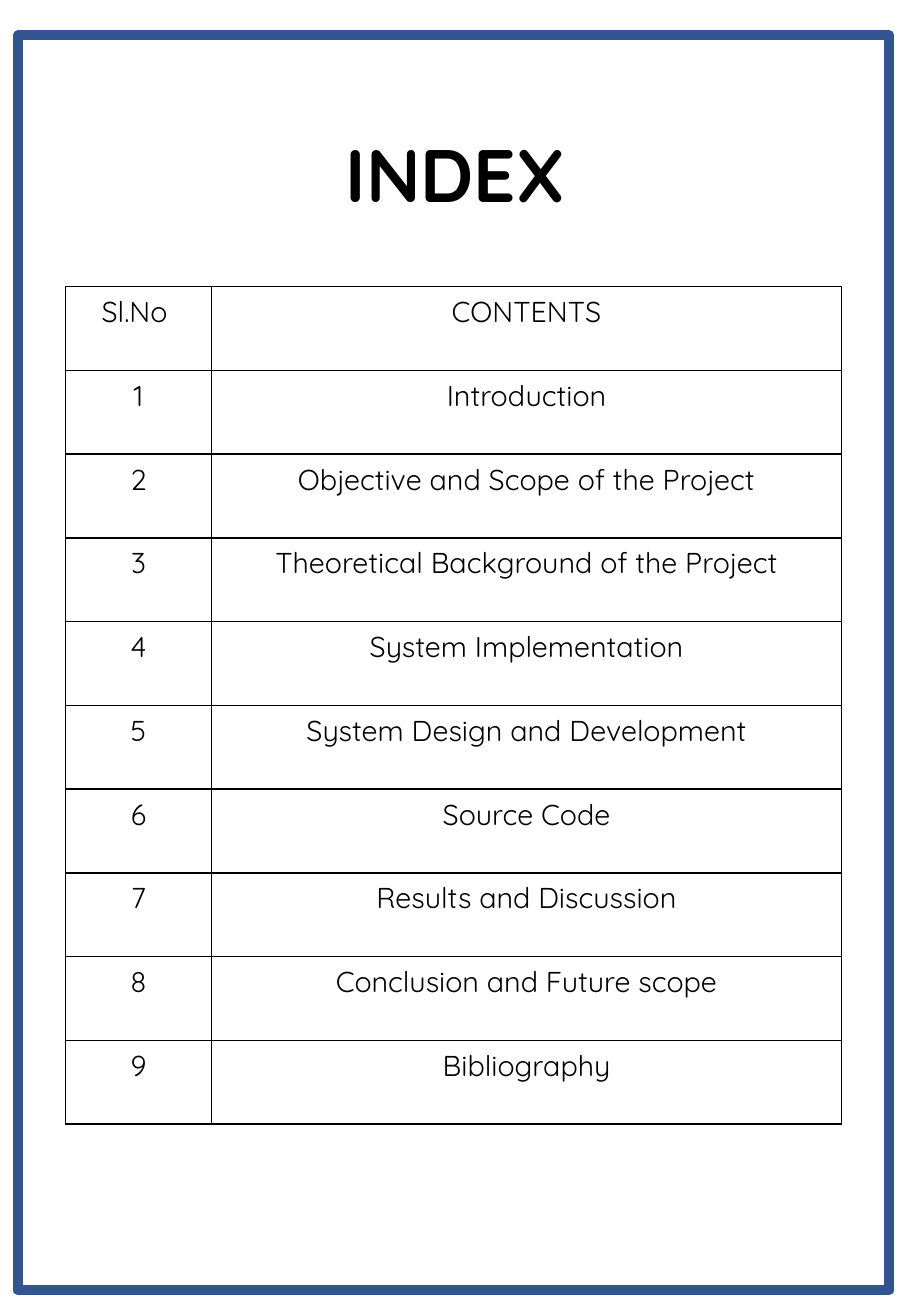
"""Build a project report index page: framed title and contents table."""
import dataclasses

import lxml.etree
import pptx
import pptx.dml.color
import pptx.enum.shapes
import pptx.enum.text
import pptx.oxml.ns
import pptx.util
from pptx.util import Inches


@dataclasses.dataclass(frozen=True)
class Theme:
    font: str = "Quicksand"
    ink: str = "000000"
    frame: str = "325491"
    title_size: int = 44
    body_size: int = 17
    frame_width: int = 6
    rule_width: int = 1


theme = Theme()


def write_text(text_frame, text, size=theme.body_size, bold=False):
    paragraph = text_frame.paragraphs[0]
    paragraph.alignment = pptx.enum.text.PP_ALIGN.CENTER
    run = paragraph.add_run()
    run.text = text
    run.font.name = theme.font
    run.font.size = pptx.util.Pt(size)
    run.font.bold = bold
    run.font.color.rgb = pptx.dml.color.RGBColor.from_string(theme.ink)


def rule_cell(cell):
    properties = cell._tc.get_or_add_tcPr()
    for position, side in enumerate(("lnL", "lnR", "lnT", "lnB")):
        rule = lxml.etree.Element(pptx.oxml.ns.qn(f"a:{side}"))
        rule.set("w", str(pptx.util.Pt(theme.rule_width)))
        fill = lxml.etree.SubElement(rule, pptx.oxml.ns.qn("a:solidFill"))
        color = lxml.etree.SubElement(fill, pptx.oxml.ns.qn("a:srgbClr"))
        color.set("val", theme.ink)
        properties.insert(position, rule)


chapters = [
    "Introduction",
    "Objective and Scope of the Project",
    "Theoretical Background of the Project",
    "System Implementation",
    "System Design and Development",
    "Source Code",
    "Results and Discussion",
    "Conclusion and Future scope",
    "Bibliography",
]
entries = [("Sl.No ", "CONTENTS")]
entries += [(str(number), chapter) for number, chapter in enumerate(chapters, 1)]

presentation = pptx.Presentation()
presentation.slide_width = Inches(7.5)
presentation.slide_height = Inches(10.83)
page = presentation.slides.add_slide(presentation.slide_layouts[6])

index = page.shapes.add_table(
    len(entries), 2, Inches(0.54), Inches(2.36), Inches(6.39), Inches(6.89)
).table
index.first_row = False
index.horz_banding = False
for column, width in zip(index.columns, (1.2, 5.19)):
    column.width = Inches(width)

for row, entry in zip(index.rows, entries):
    for cell, text in zip(row.cells, entry):
        cell.margin_left = cell.margin_right = Inches(0.12)
        cell.margin_top = cell.margin_bottom = Inches(0.06)
        cell.fill.background()
        rule_cell(cell)
        write_text(cell.text_frame, text)

title = page.shapes.add_textbox(Inches(2.37), Inches(1.01), Inches(2.76), Inches(0.84))
title.text_frame.word_wrap = True
title.text_frame.auto_size = pptx.enum.text.MSO_AUTO_SIZE.SHAPE_TO_FIT_TEXT
write_text(title.text_frame, "INDEX", size=theme.title_size, bold=True)

frame = page.shapes.add_shape(
    pptx.enum.shapes.MSO_SHAPE.RECTANGLE,
    Inches(0.15), Inches(0.29), Inches(7.17), Inches(10.33),
)
frame.shadow.inherit = False
frame.fill.background()
frame.line.color.rgb = pptx.dml.color.RGBColor.from_string(theme.frame)
frame.line.width = pptx.util.Pt(theme.frame_width)

presentation.save("out.pptx")
